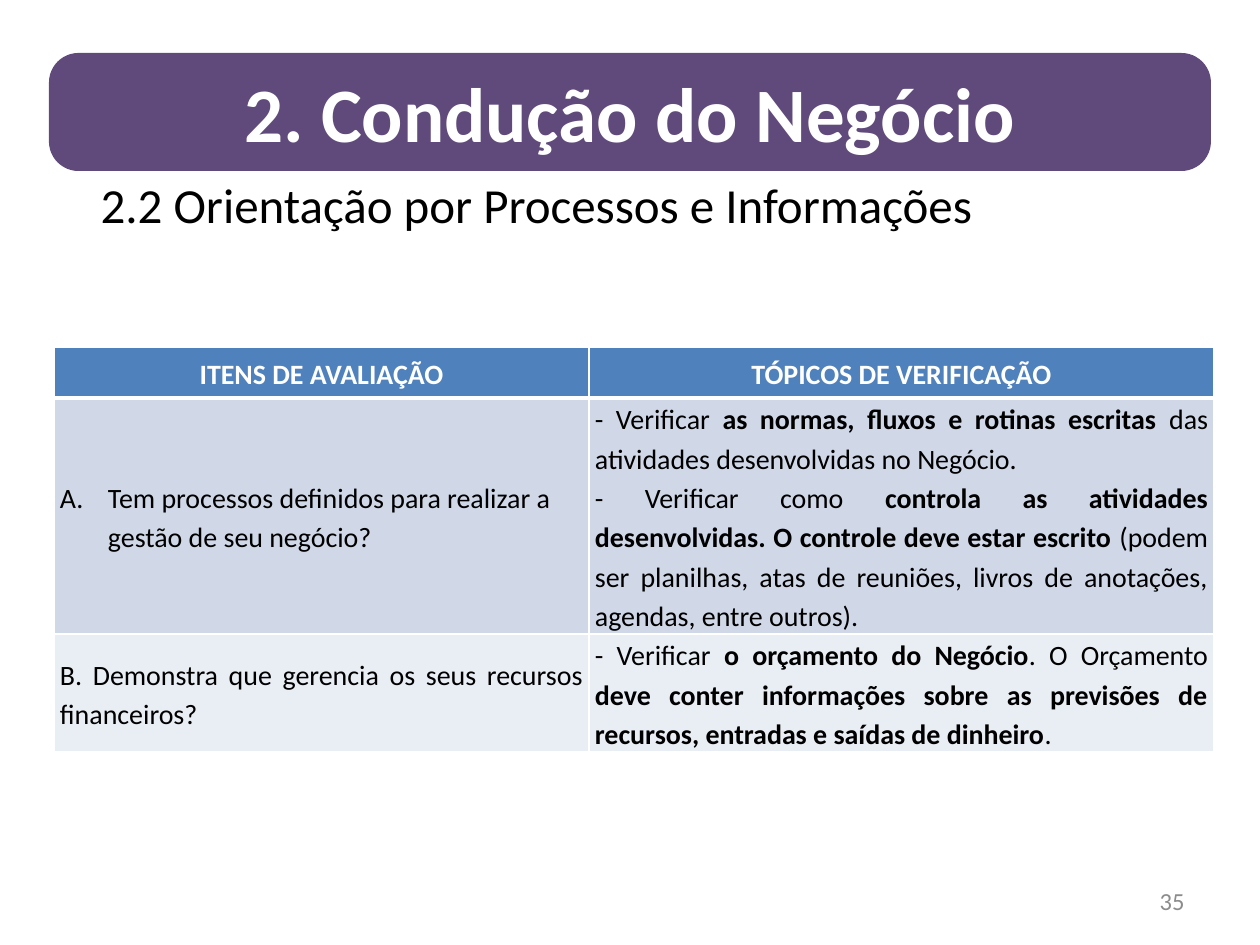
from lxml.etree import SubElement
from pptx import Presentation
from pptx.dml.color import RGBColor
from pptx.enum.shapes import MSO_SHAPE
from pptx.enum.text import MSO_ANCHOR, PP_ALIGN
from pptx.oxml import parse_xml
from pptx.oxml.ns import nsdecls, qn
from pptx.util import Emu, Pt

BANNER = "2. Condução do Negócio"
SUBTITLE = "2.2 Orientação por Processos e Informações"
PAGE_NUMBER = "35"
HEADINGS = ["ITENS DE AVALIAÇÃO", "TÓPICOS DE VERIFICAÇÃO"]
PROCESS_ITEM = "Tem processos definidos para realizar a gestão de seu negócio?"
CRITERIA = [
    ([PROCESS_ITEM],
     ["- Verificar **as normas, fluxos e rotinas escritas **das atividades desenvolvidas no Negócio.",
      "- Verificar como **controla as atividades desenvolvidas. O controle deve estar escrito** "
      "(podem ser planilhas, atas de reuniões, livros de anotações, agendas, entre outros)."]),
    (["B. Demonstra que gerencia os seus recursos financeiros?"],
     ["- Verificar **o orçamento do Negócio**. O Orçamento **deve conter informações sobre as "
      "previsões de recursos, entradas e saídas de dinheiro**."]),
]
COLUMN_WIDTHS = [535, 625]
ROW_HEIGHTS = [51, 236, 118]
BAND_FILLS = ["D0D8E8", "E9EDF4"]
HEADER_FILL = "4F81BD"


def px(length):
    return Emu(round(length * 914400 / 126))


def box(left, top, width, height):
    return [px(length) for length in (left, top, width, height)]


def color(value):
    return RGBColor.from_string(value)


def write(frame, paragraphs, size=16, fill="000000", bold=False,
          align=PP_ALIGN.LEFT, anchor=MSO_ANCHOR.MIDDLE, spacing=None):
    frame.word_wrap = True
    frame.vertical_anchor = anchor
    for index, text in enumerate(paragraphs):
        paragraph = frame.add_paragraph() if index else frame.paragraphs[0]
        paragraph.alignment = align
        if spacing:
            paragraph.line_spacing = spacing
        for part, words in enumerate(text.split("**")):
            run = paragraph.add_run()
            run.text = words
            run.font.name = "Calibri"
            run.font.size = Pt(size)
            run.font.bold = bold or part % 2 == 1
            run.font.color.rgb = color(fill)


def letter_item(paragraph):
    properties = paragraph._p.get_or_add_pPr()
    properties.set("marL", str(px(48)))
    properties.set("indent", str(px(-48)))
    SubElement(properties, qn("a:buFont"), typeface="+mj-lt")
    SubElement(properties, qn("a:buAutoNum"), type="alphaUcPeriod")
    tabs = SubElement(properties, qn("a:tabLst"))
    SubElement(tabs, qn("a:tab"), pos=str(px(25)), algn="l")


def format_cell(cell, fill, bottom_width=1):
    cell.margin_left = cell.margin_right = px(6)
    cell.margin_top = cell.margin_bottom = 0
    cell.vertical_anchor = MSO_ANCHOR.MIDDLE
    cell.fill.solid()
    cell.fill.fore_color.rgb = color(fill)
    for index, (side, width) in enumerate(zip("LRTB", (1, 1, 1, bottom_width))):
        border = parse_xml(
            f'<a:ln{side} {nsdecls("a")} w="{Pt(width)}"><a:solidFill>'
            f'<a:srgbClr val="FFFFFF"/></a:solidFill></a:ln{side}>')
        cell._tc.get_or_add_tcPr().insert(index, border)


def add_criteria_table(slide):
    frame = slide.shapes.add_table(len(ROW_HEIGHTS), len(COLUMN_WIDTHS),
                                   *box(54, 347, sum(COLUMN_WIDTHS), sum(ROW_HEIGHTS)))
    table = frame.table
    for column, width in zip(table.columns, COLUMN_WIDTHS):
        column.width = px(width)
    for row, height in zip(table.rows, ROW_HEIGHTS):
        row.height = px(height)
    for column, heading in enumerate(HEADINGS):
        cell = table.cell(0, column)
        format_cell(cell, HEADER_FILL, bottom_width=3)
        write(cell.text_frame, [heading], fill="FFFFFF", bold=True,
              align=PP_ALIGN.CENTER, spacing=1.15)
    for row, (criterion, fill) in enumerate(zip(CRITERIA, BAND_FILLS), 1):
        for column, paragraphs in enumerate(criterion):
            cell = table.cell(row, column)
            format_cell(cell, fill, bottom_width=1)
            lettered = paragraphs == [PROCESS_ITEM]
            if lettered:
                letter_item(cell.text_frame.paragraphs[0])
            write(cell.text_frame, paragraphs, spacing=1.15,
                  align=PP_ALIGN.LEFT if lettered else PP_ALIGN.JUSTIFY)
    for row in (1, 2):
        top = table.cell(row, 0)._tc.tcPr.find(qn("a:lnT"))
        if row == 1:
            for column in range(len(COLUMN_WIDTHS)):
                table.cell(row, column)._tc.tcPr.find(qn("a:lnT")).set("w", str(Pt(3)))


def main():
    presentation = Presentation()
    presentation.slide_width, presentation.slide_height = px(1260), px(945)
    slide = presentation.slides.add_slide(presentation.slide_layouts[5])

    add_criteria_table(slide)

    subtitle = slide.shapes.title
    subtitle.left, subtitle.top, subtitle.width, subtitle.height = box(88, 168, 1091, 135)
    write(subtitle.text_frame, [SUBTITLE], size=28, anchor=MSO_ANCHOR.TOP)

    banner = slide.shapes.add_shape(MSO_SHAPE.ROUNDED_RECTANGLE, *box(49, 53, 1162, 118))
    banner.adjustments[0] = 0.25
    banner.shadow.inherit = False
    banner.fill.solid()
    banner.fill.fore_color.rgb = color("604A7B")
    banner.line.fill.background()
    write(banner.text_frame, [BANNER], size=44, fill="FFFFFF", bold=True, align=PP_ALIGN.CENTER)

    page_number = slide.shapes.add_textbox(*box(903, 876, 294, 50))
    write(page_number.text_frame, [PAGE_NUMBER], size=14, fill="8C8C8C", align=PP_ALIGN.RIGHT)

    presentation.save("out.pptx")


if __name__ == "__main__":
    main()
